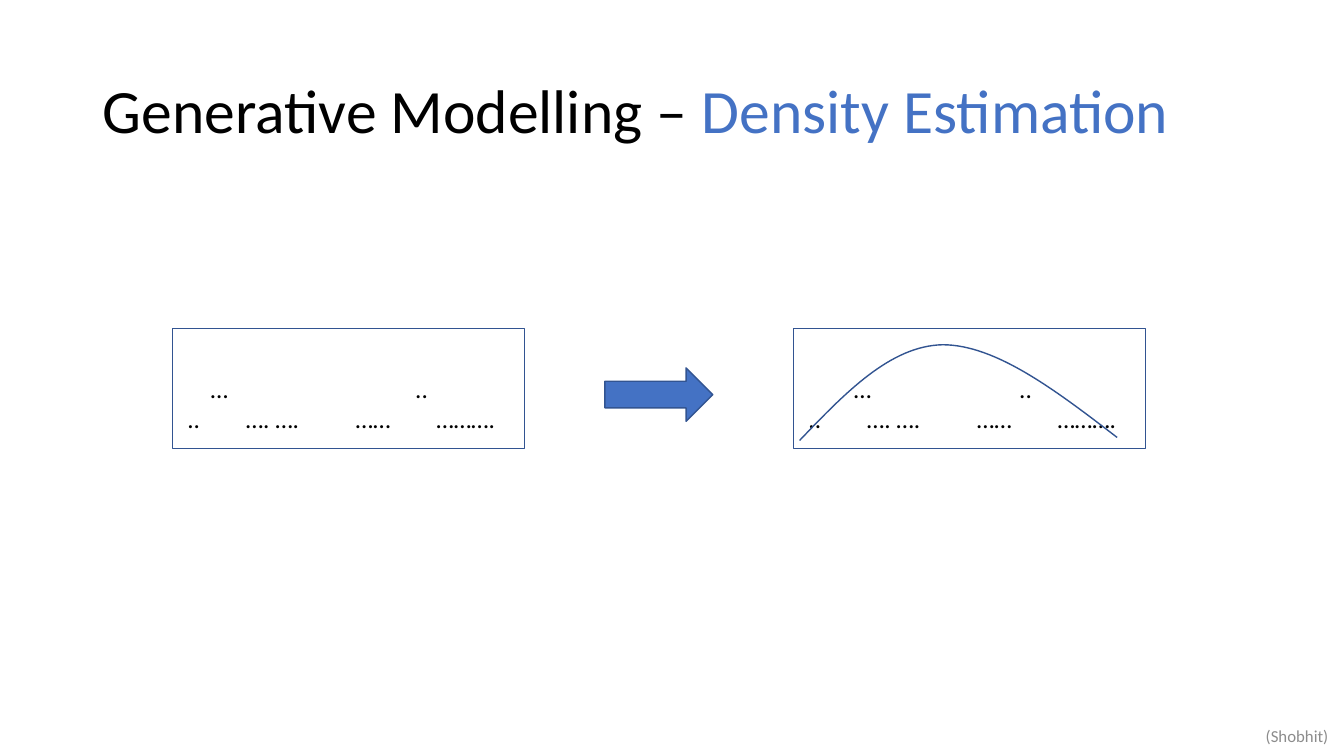
from dataclasses import dataclass

from lxml import etree
from pptx import Presentation
from pptx.dml.color import RGBColor
from pptx.enum import shapes, text
from pptx.oxml.ns import qn
from pptx.util import Inches, Pt


@dataclass(frozen=True)
class Theme:
    font: str = "Calibri"
    ink: RGBColor = RGBColor(0x00, 0x00, 0x00)
    accent: RGBColor = RGBColor(0x44, 0x72, 0xC4)
    outline: RGBColor = RGBColor(0x32, 0x54, 0x91)
    muted: RGBColor = RGBColor(0x8C, 0x8C, 0x8C)
    title_size: int = 44
    body_size: int = 18
    note_size: int = 12
    line_width: int = 1


@dataclass(frozen=True)
class Box:
    left: float
    top: float
    width: float
    height: float

    def emu(self) -> tuple:
        return tuple(Inches(v) for v in (self.left, self.top, self.width, self.height))


@dataclass(frozen=True)
class DotLine:
    words: str
    tabs: tuple


@dataclass(frozen=True)
class Panel:
    left: float
    upper: DotLine


THEME = Theme()
LOWER = DotLine("..\t…. ….\t……\t……….", (0.58, 1.67, 2.47))
PANELS = (
    Panel(1.71, DotLine("\t…\t..", (0.23, 2.26))),
    Panel(7.87, DotLine("\t…\t..", (0.45, 2.09))),
)
# Start point, then two control points and an end point per segment
DENSITY = ((7.93, 4.37),
           (8.38, 3.9), (8.83, 3.43), (9.35, 3.42),
           (9.88, 3.42), (10.48, 3.88), (11.08, 4.34))


def style(p, size: int, color: RGBColor) -> None:
    p.font.name = THEME.font
    p.font.size = Pt(size)
    p.font.color.rgb = color


def outline(sp) -> None:
    sp.shadow.inherit = False
    sp.line.color.rgb = THEME.outline
    sp.line.width = Pt(THEME.line_width)


def add_tabs(p, stops: tuple) -> None:
    tab_list = etree.SubElement(p._p.get_or_add_pPr(), qn("a:tabLst"))
    for stop in stops:
        etree.SubElement(tab_list, qn("a:tab"), pos=str(Inches(stop)), algn="l")


def add_panel(slide, panel: Panel) -> None:
    frame = slide.shapes.add_shape(shapes.MSO_SHAPE.RECTANGLE,
                                   *Box(panel.left, 3.26, 3.49, 1.19).emu())
    frame.fill.background()
    outline(frame)

    dots = slide.shapes.add_textbox(*Box(panel.left + 0.05, 3.65, 3.32, 0.71).emu())
    tf = dots.text_frame
    tf.word_wrap = True
    tf.auto_size = text.MSO_AUTO_SIZE.SHAPE_TO_FIT_TEXT
    for i, line in enumerate((panel.upper, LOWER)):
        p = tf.add_paragraph() if i else tf.paragraphs[0]
        add_tabs(p, line.tabs)
        p.text = line.words
        style(p, THEME.body_size, THEME.ink)


def add_curve(slide, points: tuple) -> None:
    start, *rest = [(Inches(x), Inches(y)) for x, y in points]
    builder = slide.shapes.build_freeform(*start)
    builder.add_line_segments(rest, close=False)
    sp = builder.convert_to_shape()
    sp.fill.background()
    outline(sp)
    # Merge each three line segments into one cubic curve
    segments = list(sp._element.iter(qn("a:lnTo")))
    for i in range(0, len(segments), 3):
        curve = etree.Element(qn("a:cubicBezTo"))
        segments[i].addprevious(curve)
        for segment in segments[i:i + 3]:
            curve.append(segment[0])
            segment.getparent().remove(segment)


def add_title(slide) -> None:
    title = slide.shapes.title
    title.left, title.top, title.width, title.height = Box(0.92, 0.4, 11.5, 1.45).emu()
    tf = title.text_frame
    tf.vertical_anchor = text.MSO_ANCHOR.MIDDLE
    tf.auto_size = text.MSO_AUTO_SIZE.NONE
    p = tf.paragraphs[0]
    p.alignment = text.PP_ALIGN.LEFT
    p.line_spacing = 0.9
    style(p, THEME.title_size, THEME.ink)
    for words, color in (("Generative Modelling – ", THEME.ink),
                         ("Density Estimation", THEME.accent)):
        r = p.add_run()
        r.text = words
        r.font.color.rgb = color


def add_arrow(slide) -> None:
    arrow = slide.shapes.add_shape(shapes.MSO_SHAPE.RIGHT_ARROW,
                                   *Box(6, 3.65, 1.07, 0.53).emu())
    arrow.fill.solid()
    arrow.fill.fore_color.rgb = THEME.accent
    outline(arrow)


def add_credit(slide) -> None:
    tf = slide.shapes.add_textbox(*Box(11.71, 7.1, 2.31, 0.4).emu()).text_frame
    tf.word_wrap = True
    tf.vertical_anchor = text.MSO_ANCHOR.MIDDLE
    p = tf.paragraphs[0]
    p.text = "(Shobhit)"
    p.alignment = text.PP_ALIGN.CENTER
    style(p, THEME.note_size, THEME.muted)


def main() -> None:
    prs = Presentation()
    prs.slide_width, prs.slide_height = Inches(13.33), Inches(7.5)
    slide = prs.slides.add_slide(prs.slide_layouts[5])

    add_title(slide)

    # Samples on the left, fitted density on the right
    for panel in PANELS:
        add_panel(slide, panel)
    add_curve(slide, DENSITY)
    add_arrow(slide)

    add_credit(slide)
    prs.save("out.pptx")


if __name__ == "__main__":
    main()
